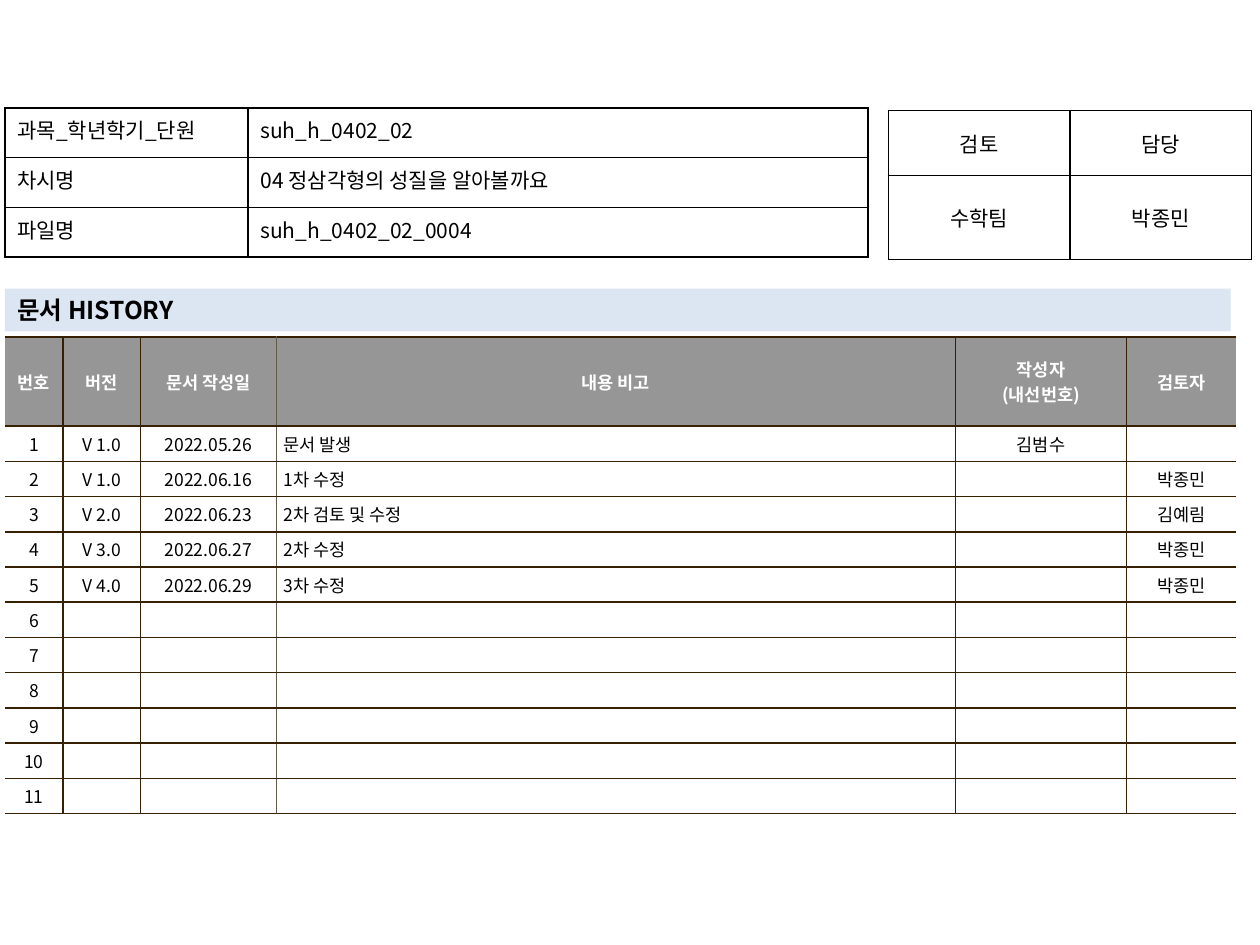
from lxml import etree
from pptx import Presentation
from pptx.dml.color import RGBColor
from pptx.enum.shapes import MSO_SHAPE
from pptx.enum.text import MSO_ANCHOR, PP_ALIGN
from pptx.oxml.ns import qn
from pptx.util import Cm, Pt

RECT = MSO_SHAPE.RECTANGLE
TOP, MID = MSO_ANCHOR.TOP, MSO_ANCHOR.MIDDLE
LEFT, CENTER, JUST = PP_ALIGN.LEFT, PP_ALIGN.CENTER, PP_ALIGN.JUSTIFY
FONT = "Noto Sans CJK KR"
HEX = {"black": "000000", "white": "FFFFFF", "gray": "969696",
       "brown": "362000", "taupe": "645B4C", "blue": "DCE6F2"}


def style(para, size, color, bold=False):
    for run in para.runs:
        form = {"name": FONT, "size": Pt(size), "bold": bold}
        for key, val in form.items():
            setattr(run.font, key, val)
        run.font.color.rgb = RGBColor.from_string(HEX[color])
        etree.SubElement(run.font._element, qn("a:ea"), typeface=FONT)
    if not para.runs:
        etree.SubElement(para._p, qn("a:endParaRPr"), sz=str(size * 100))


def grid(box, cols, rows, data, size, aligns, anchor, pad, line, head=None):
    table = slide.shapes.add_table(len(rows), len(cols), *map(Cm, box)).table
    table.first_row = table.horz_banding = False
    for col, width in zip(table.columns, cols):
        col.width = Cm(width)
    for row, tall in zip(table.rows, rows):
        row.height = Cm(tall)
    for r, texts in enumerate(data):
        for c, text in enumerate(texts):
            cell = table.cell(r, c)
            top = head and r == 0
            form = {"text": text, "vertical_anchor": anchor,
                    "margin_left": Cm(pad[0]), "margin_right": Cm(pad[0]),
                    "margin_top": Cm(pad[1]), "margin_bottom": Cm(pad[1])}
            for key, val in form.items():
                setattr(cell, key, val)
            for para in cell.text_frame.paragraphs:
                para.alignment = CENTER if top else aligns[c]
                style(para, size, "white" if top else "black", bool(top))
            prop = cell._tc.get_or_add_tcPr()
            for side in "LRTB":
                edge = etree.SubElement(prop, qn(f"a:ln{side}"), w=str(Pt(1)))
                if head and (side, c) in (("L", 0), ("R", len(cols) - 1)):
                    etree.SubElement(edge, qn("a:noFill"))
                    continue
                tint = "taupe" if head and (side, c) in (("R", 2), ("L", 3)) else line
                fill = etree.SubElement(edge, qn("a:solidFill"))
                etree.SubElement(fill, qn("a:srgbClr"), val=HEX[tint])
            if head:
                cell.fill.solid()
                cell.fill.fore_color.rgb = RGBColor.from_string(HEX[head if top else "white"])
            else:
                cell.fill.background()


deck = Presentation()
deck.slide_width, deck.slide_height = Cm(25.4), Cm(19.05)
slide = deck.slides.add_slide(deck.slide_layouts[6])

log = [
    ["번호", "버전", "문서 작성일", "내용 비고", "작성자\n(내선번호)", "검토자"],
    ["1", "V 1.0", "2022.05.26", "문서 발생", "김범수", ""],
    ["2", "V 1.0", "2022.06.16", "1차 수정", "", "박종민"],
    ["3", "V 2.0", "2022.06.23", "2차 검토 및 수정", "", "김예림"],
    ["4", "V 3.0", "2022.06.27", "2차 수정", "", "박종민"],
    ["5", "V 4.0", "2022.06.29", "3차 수정", "", "박종민"],
]
log += [[str(n)] + [""] * 5 for n in range(6, 12)]
grid((0.1, 6.79, 24.8, 9.6), [1.17, 1.56, 2.74, 13.69, 3.45, 2.2],
     [1.8] + [0.71] * 11, log, 10, [CENTER] * 3 + [LEFT] + [CENTER] * 2,
     MID, (0.15, 0.1), "brown", "gray")

grid((17.91, 2.23, 7.32, 3), [3.66] * 2, [1.31, 1.69],
     [["검토", "담당"], ["수학팀", "박종민"]],
     12, [CENTER] * 2, MID, (0.25, 0.13), "black")

bar = slide.shapes.add_shape(RECT, Cm(0.1), Cm(5.82), Cm(24.71), Cm(0.86))
bar.shadow.inherit = False
bar.fill.solid()
bar.fill.fore_color.rgb = RGBColor.from_string(HEX["blue"])
bar.line.fill.background()
bar.text_frame.text = "문서 HISTORY"
bar.text_frame.word_wrap = True
bar.text_frame.vertical_anchor = MID
bar.text_frame.paragraphs[0].alignment = LEFT
style(bar.text_frame.paragraphs[0], 14, "black", True)

grid((0.1, 2.18, 17.4, 3), [4.9, 12.5], [1] * 3,
     [["과목_학년학기_단원 ", "suh_h_0402_02"],
      ["차시명", "04 정삼각형의 성질을 알아볼까요"],
      ["파일명", "suh_h_0402_02_0004"]],
     12, [JUST, LEFT], TOP, (0.25, 0.13), "black")

deck.save("out.pptx")
